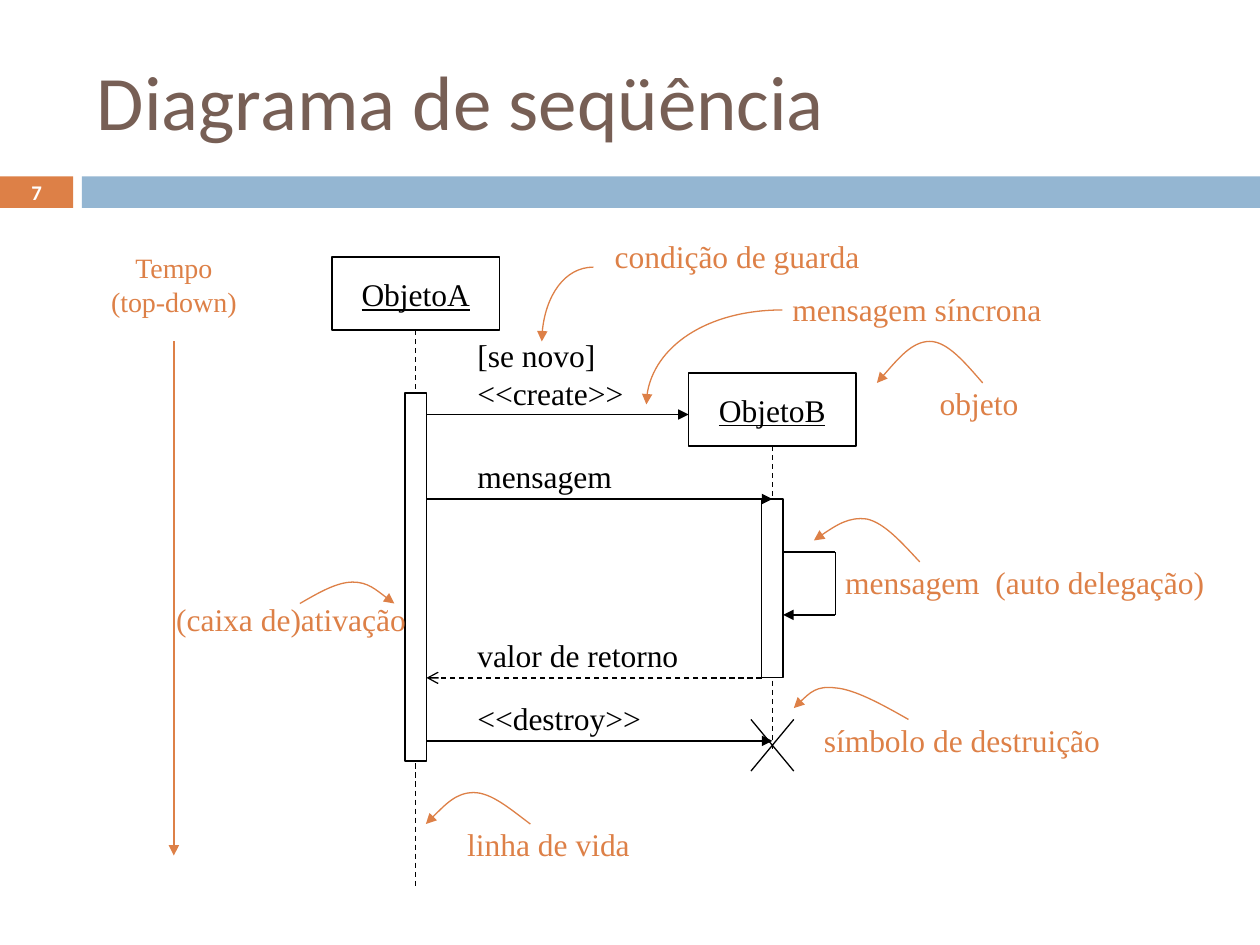
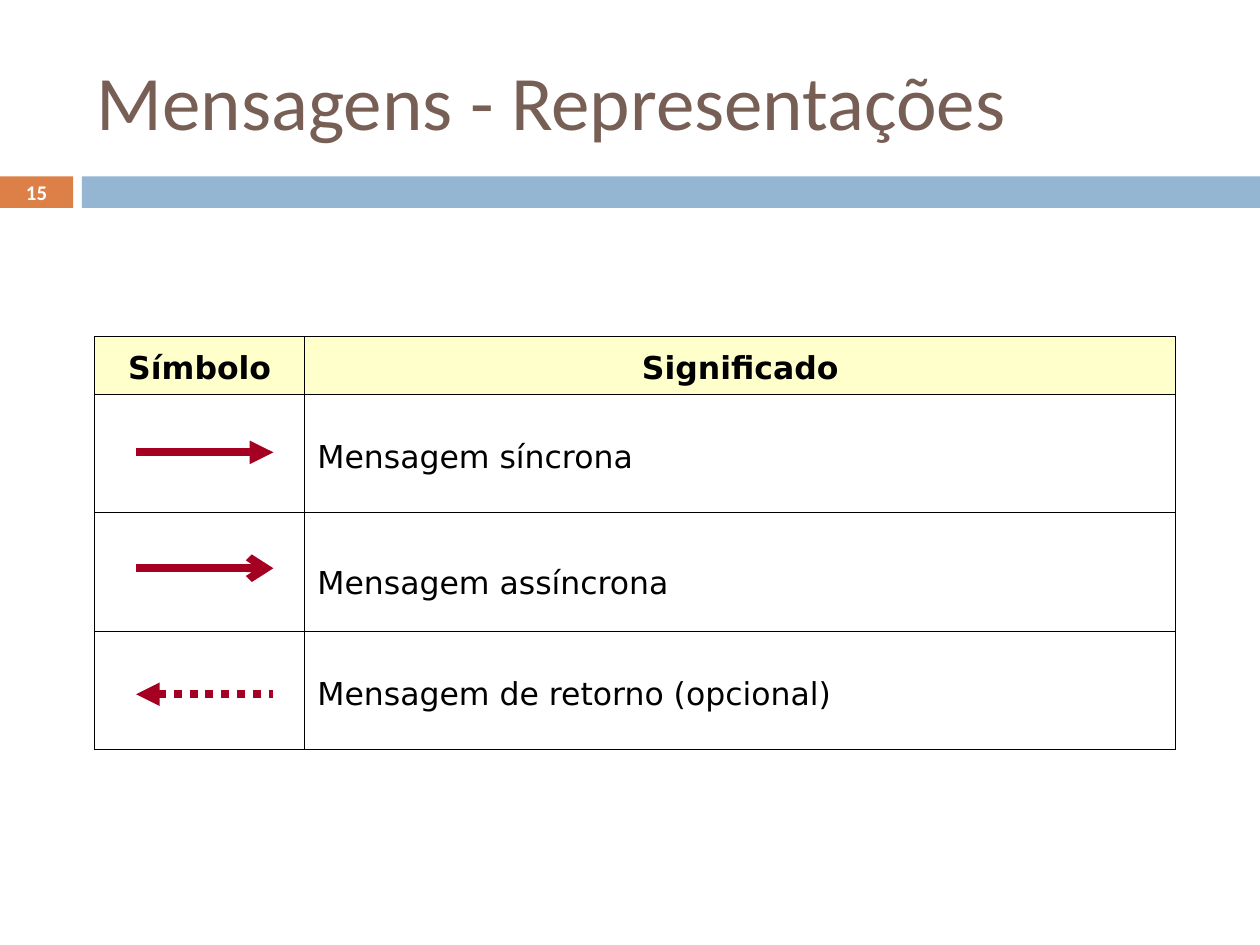
import pptx
import pptx.dml.color
import pptx.enum.dml
import pptx.enum.shapes
import pptx.enum.text
import pptx.oxml
import pptx.oxml.ns
import pptx.util
from lxml import etree

Inches = pptx.util.Inches
Pt = pptx.util.Pt
RGBColor = pptx.dml.color.RGBColor
ALIGN = pptx.enum.text.PP_ALIGN
ANCHOR = pptx.enum.text.MSO_ANCHOR
DASH = pptx.enum.dml.MSO_LINE
qn = pptx.oxml.ns.qn

# Shared colours and fonts
ORANGE = RGBColor(0xDD, 0x80, 0x47)
BLUE = RGBColor(0x94, 0xB6, 0xD2)
BROWN = RGBColor(0x77, 0x5F, 0x55)
BLACK = RGBColor(0x00, 0x00, 0x00)
WHITE = RGBColor(0xFF, 0xFF, 0xFF)
CREAM = RGBColor(0xFF, 0xFF, 0xCC)
CRIMSON = RGBColor(0xA5, 0x00, 0x21)
HEADING_FONT = "Calibri"
DIAGRAM_FONT = "Times New Roman"
TABLE_FONT = "DejaVu Sans"

# Sequence diagram measures
AXIS_A = 3.3
AXIS_B = 6.13
OBJECT_WIDTH, OBJECT_HEIGHT = 1.33, 0.58
BAR_WIDTH = 0.17
EDGE_A = AXIS_A + BAR_WIDTH / 2
EDGE_B = AXIS_B + BAR_WIDTH / 2
MESSAGE_LEFT = 3.69


def style_text(frame, text, font, size, color, align=ALIGN.LEFT,
               bold=False, underline=False, spacing=None):
    frame.text = text
    for para in frame.paragraphs:
        para.alignment = align
        if spacing:
            para.line_spacing = spacing
        for span in para.runs:
            span.font.name = font
            span.font.size = Pt(size)
            span.font.bold = bold
            span.font.underline = underline
            span.font.color.rgb = color


def add_text(page, left, top, width, height, text, font, size, color, **style):
    box = page.shapes.add_textbox(*map(Inches, (left, top, width, height)))
    box.text_frame.word_wrap = True
    box.text_frame.vertical_anchor = ANCHOR.MIDDLE
    style_text(box.text_frame, text, font, size, color, **style)


def add_label(page, left, top, width, text, color, size=18, height=0.4,
              align=ALIGN.LEFT):
    box = page.shapes.add_textbox(*map(Inches, (left, top, width, height)))
    box.text_frame.word_wrap = False
    box.text_frame.auto_size = pptx.enum.text.MSO_AUTO_SIZE.SHAPE_TO_FIT_TEXT
    style_text(box.text_frame, text, DIAGRAM_FONT, size, color, align)


def add_rectangle(page, left, top, width, height, fill=None, line=None):
    box = page.shapes.add_shape(pptx.enum.shapes.MSO_SHAPE.RECTANGLE,
                                *map(Inches, (left, top, width, height)))
    box.shadow.inherit = False
    if fill is None:
        box.fill.background()
    else:
        box.fill.solid()
        box.fill.fore_color.rgb = fill
    if line is None:
        box.line.fill.background()
    else:
        box.line.color.rgb = line
        box.line.width = Pt(0.75)
    return box


def add_arrowhead(shape, kind, end="tailEnd"):
    line = shape.line._get_or_add_ln()
    etree.SubElement(line, qn("a:" + end), type=kind)


def add_line(page, start, end, color=BLACK, width=0.75, dash=None,
             arrow=None, arrow_end="tailEnd"):
    line = page.shapes.add_connector(pptx.enum.shapes.MSO_CONNECTOR.STRAIGHT,
                                     *map(Inches, start + end))
    line.line.color.rgb = color
    line.line.width = Pt(width)
    if dash:
        line.line.dash_style = dash
    if arrow:
        add_arrowhead(line, arrow, arrow_end)
    etree.SubElement(line._element.spPr, qn("a:effectLst"))
    return line


def add_curved_arrow(page, start, *controls):
    """Draw cubic curves; every three control points make one curve."""
    points = [tuple(map(Inches, point)) for point in controls]
    builder = page.shapes.build_freeform(*map(Inches, start))
    builder.add_line_segments(points, close=False)
    curve = builder.convert_to_shape()
    curve.shadow.inherit = False
    curve.fill.background()
    curve.line.color.rgb = ORANGE
    curve.line.width = Pt(0.75)
    add_arrowhead(curve, "triangle")
    outline = next(curve._element.iter(qn("a:path")))
    segments = outline.findall(qn("a:lnTo"))
    for first in range(0, len(segments), 3):
        bezier = etree.SubElement(outline, qn("a:cubicBezTo"))
        for segment in segments[first:first + 3]:
            bezier.append(segment[0])
            outline.remove(segment)


def add_object(page, axis, top, name):
    box = add_rectangle(page, axis - OBJECT_WIDTH / 2, top,
                        OBJECT_WIDTH, OBJECT_HEIGHT, line=BLACK)
    box.text_frame.word_wrap = False
    box.text_frame.vertical_anchor = ANCHOR.MIDDLE
    style_text(box.text_frame, name, DIAGRAM_FONT, 18, BLACK,
               ALIGN.CENTER, underline=True)
    return box


def add_lifeline(page, owner, axis, bottom):
    lifeline = add_line(page, (axis, 3), (axis, bottom), dash=DASH.DASH)
    lifeline.begin_connect(owner, 2)


def add_activation(page, axis, top, height):
    return add_rectangle(page, axis - BAR_WIDTH / 2, top, BAR_WIDTH, height,
                         fill=WHITE, line=BLACK)


def add_page(deck, title, number):
    page = deck.slides.add_slide(deck.slide_layouts[6])
    add_rectangle(page, 0, 1.4, 0.58, 0.25, fill=ORANGE)
    add_rectangle(page, 0.65, 1.4, 9.35, 0.25, fill=BLUE)
    add_text(page, 0.67, 0.25, 8.92, 1.08, title, HEADING_FONT, 44, BROWN)
    add_text(page, 0, 1.39, 0.58, 0.27, number, HEADING_FONT, 11.9, WHITE,
             align=ALIGN.CENTER, bold=True)
    return page


def build_sequence_page(deck):
    page = add_page(deck, "Diagrama de seqüência", "7")

    # Time axis
    add_line(page, (1.38, 2.71), (1.38, 6.79), ORANGE, arrow="triangle")
    add_label(page, 0.78, 1.94, 1.2, "Tempo\n(top-down)", ORANGE, 16, 0.64,
              ALIGN.CENTER)

    # Objects, lifelines and activations
    object_a = add_object(page, AXIS_A, 2.04, "ObjetoA")
    object_b = add_object(page, AXIS_B, 2.96, "ObjetoB")
    add_lifeline(page, object_a, AXIS_A, 7.04)
    add_lifeline(page, object_b, AXIS_B, 5.96)
    add_activation(page, AXIS_A, 3.12, 2.92)
    activation_b = add_activation(page, AXIS_B, 3.96, 1.42)

    # Messages
    object_b_left = AXIS_B - OBJECT_WIDTH / 2
    add_line(page, (EDGE_A, 3.29), (object_b_left, 3.29), arrow="triangle")
    call = add_line(page, (EDGE_A, 3.96), (AXIS_B, 3.96), arrow="triangle")
    call.end_connect(activation_b, 0)
    add_line(page, (AXIS_B - BAR_WIDTH / 2, 5.38), (EDGE_A, 5.38),
             dash=DASH.DASH, arrow="arrow")
    add_line(page, (EDGE_A, 5.88), (AXIS_B, 5.88), arrow="triangle")
    add_label(page, MESSAGE_LEFT, 2.62, 1.36, "[se novo]\n<<create>>", BLACK,
              height=0.7)
    for top, width, text in ((3.58, 1.27, "mensagem"),
                             (5, 1.8, "valor de retorno"),
                             (5.5, 1.5, "<<destroy>>")):
        add_label(page, MESSAGE_LEFT, top, width, text, BLACK)

    # Self delegation
    add_line(page, (EDGE_B, 4.38), (6.63, 4.38))
    add_line(page, (6.63, 4.38), (6.63, 4.88))
    add_line(page, (6.63, 4.88), (EDGE_B, 4.88), arrow="triangle")

    # Destruction cross
    add_line(page, (5.96, 5.71), (6.3, 6.12))
    add_line(page, (6.3, 5.71), (5.96, 6.12))

    # Annotations
    for left, top, width, text in (
            (6.61, 4.42, 3.06, "mensagem  (auto delegação)"),
            (1.3, 4.71, 2.03, "(caixa de)ativação"),
            (4.78, 1.83, 2.15, "condição de guarda"),
            (6.19, 2.25, 2.18, "mensagem síncrona"),
            (7.36, 3, 0.83, "objeto"),
            (6.44, 5.67, 2.46, "símbolo de destruição"),
            (3.61, 6.5, 1.49, "linha de vida")):
        add_label(page, left, top, width, text, ORANGE)

    for curve in (
            # Guard condition and synchronous message
            ((4.71, 2.12), (4.48, 2.12), (4.3, 2.39), (4.3, 2.71)),
            ((6.21, 2.46), (5.61, 2.46), (5.13, 2.79), (5.13, 3.21)),
            # Self delegation and object
            ((7.3, 4.46), (7.16, 4.31), (7.02, 4.15), (6.88, 4.12),
             (6.74, 4.1), (6.6, 4.19), (6.46, 4.29)),
            ((7.8, 3.04), (7.66, 2.88), (7.52, 2.71), (7.38, 2.71),
             (7.24, 2.71), (7.1, 2.88), (6.96, 3.04)),
            # Destruction, lifeline and activation
            ((7.21, 5.71), (7, 5.59), (6.78, 5.47), (6.63, 5.46),
             (6.48, 5.44), (6.39, 5.53), (6.3, 5.62)),
            ((4.21, 6.54), (4.05, 6.42), (3.9, 6.29), (3.76, 6.29),
             (3.62, 6.29), (3.5, 6.42), (3.38, 6.54)),
            ((2.38, 4.79), (2.52, 4.71), (2.67, 4.62), (2.8, 4.62),
             (2.92, 4.62), (3.02, 4.71), (3.13, 4.79))):
        add_curved_arrow(page, *curve)


def add_cell_borders(cell):
    properties = cell._tc.get_or_add_tcPr()
    for position, side in enumerate(("lnL", "lnR", "lnT", "lnB")):
        border = etree.Element(qn("a:" + side), w=str(Pt(0.75)))
        fill = etree.SubElement(border, qn("a:solidFill"))
        etree.SubElement(fill, qn("a:srgbClr"), val=str(BLACK))
        properties.insert(position, border)


def add_meaning_table(page, rows):
    widths, heights = (1.67, 6.91), (0.46, 0.94, 0.94, 0.94)
    frame = page.shapes.add_table(len(rows), len(widths), Inches(0.75),
                                  Inches(2.67), Inches(sum(widths)),
                                  Inches(sum(heights)))
    table = frame.table
    table.horz_banding = False
    for column, width in zip(table.columns, widths):
        column.width = Inches(width)
    for row, height in zip(table.rows, heights):
        row.height = Inches(height)
    for row_index, texts in enumerate(rows):
        header = row_index == 0
        for column_index, text in enumerate(texts):
            cell = table.cell(row_index, column_index)
            cell.vertical_anchor = ANCHOR.MIDDLE
            if header:
                cell.fill.solid()
                cell.fill.fore_color.rgb = CREAM
            else:
                cell.fill.background()
            add_cell_borders(cell)
            if text:
                style_text(cell.text_frame, text, TABLE_FONT, 18, BLACK,
                           ALIGN.CENTER if header else ALIGN.LEFT,
                           bold=header, spacing=1.2)
    return table


def build_messages_page(deck):
    page = add_page(deck, "Mensagens - Representações", "15")
    table = add_meaning_table(page, (("Símbolo", "Significado"),
                                     ("", "Mensagem síncrona"),
                                     ("", "Mensagem assíncrona"),
                                     ("", "Mensagem de retorno (opcional)")))
    # The asynchronous text sits a little lower in its row
    table.cell(2, 1).margin_top = Inches(0.18)

    # Message symbols
    for y, dash, arrow, arrow_end in (
            (3.59, None, "triangle", "tailEnd"),
            (4.51, None, "arrow", "tailEnd"),
            (5.51, DASH.ROUND_DOT, "triangle", "headEnd")):
        add_line(page, (1.08, y), (2.17, y), CRIMSON, 4.5, dash, arrow,
                 arrow_end)


def main():
    deck = pptx.Presentation()
    deck.slide_width = Inches(10)
    deck.slide_height = Inches(7.5)
    build_sequence_page(deck)
    build_messages_page(deck)
    deck.save("out.pptx")


if __name__ == "__main__":
    main()
